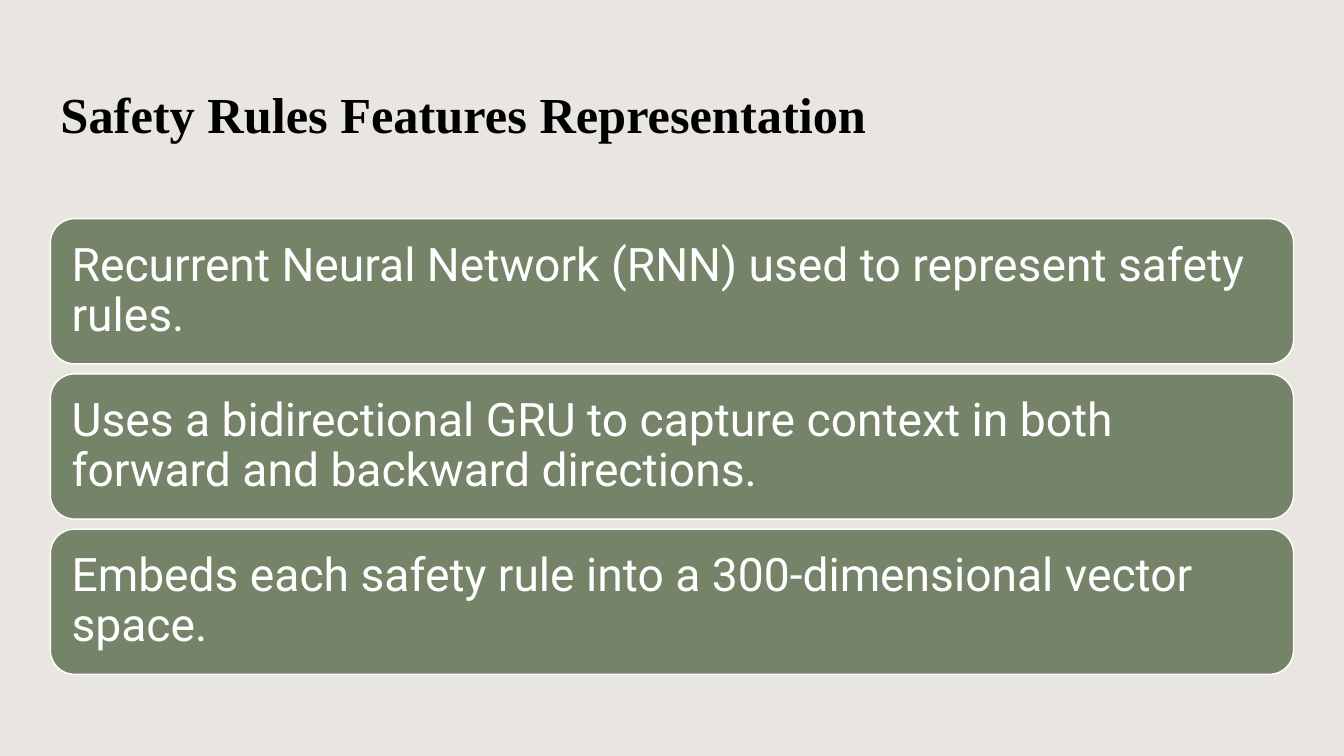
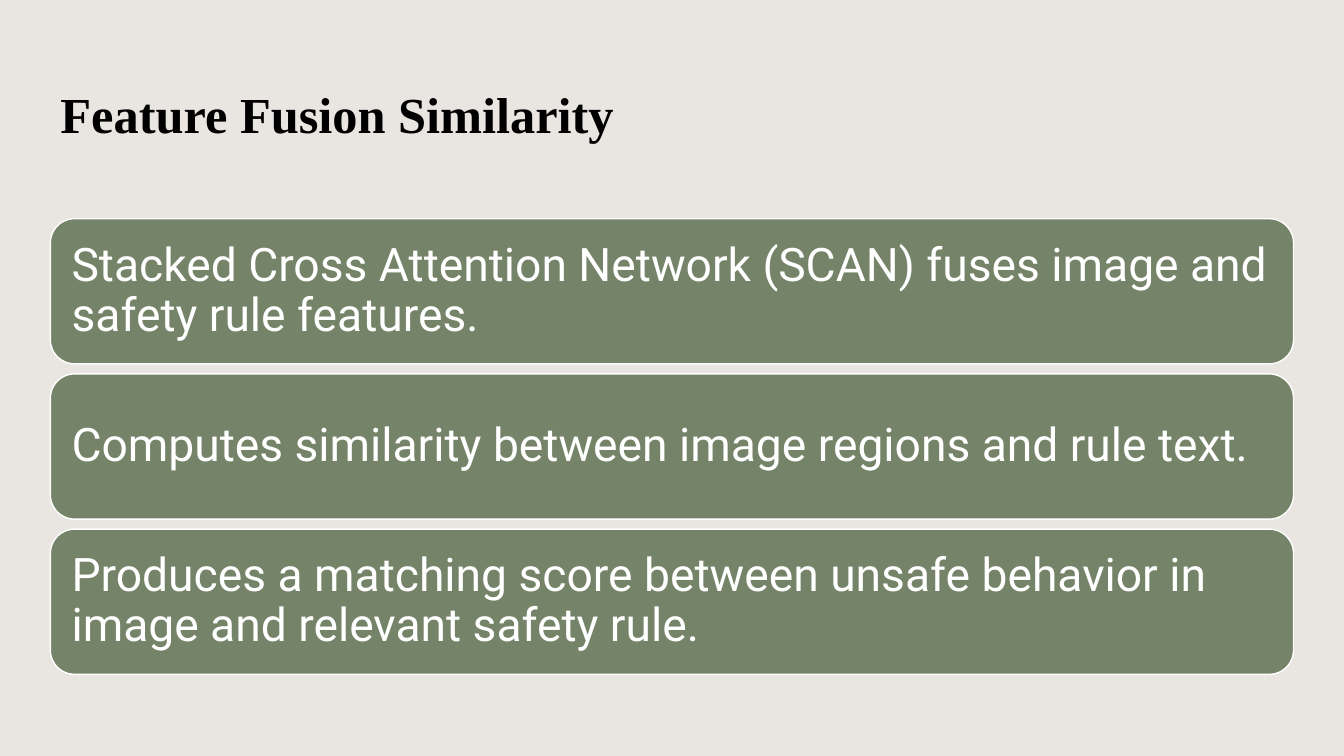
from dataclasses import dataclass

from pptx import Presentation
from pptx.dml.color import RGBColor
from pptx.enum import shapes, text
from pptx.util import Inches, Pt

SLIDES = [
    ("Safety Rules Features Representation", [
        "Recurrent Neural Network (RNN) used to represent safety rules.",
        "Uses a bidirectional GRU to capture context in both forward and backward directions.",
        "Embeds each safety rule into a 300-dimensional vector space.",
    ]),
    ("Feature Fusion Similarity", [
        "Stacked Cross Attention Network (SCAN) fuses image and safety rule features.",
        "Computes similarity between image regions and rule text.",
        "Produces a matching score between unsafe behavior in image and relevant safety rule.",
    ]),
]


@dataclass(frozen=True)
class Theme:
    background: RGBColor = RGBColor.from_string("E9E5E1")
    card: RGBColor = RGBColor.from_string("758468")
    card_text: RGBColor = RGBColor.from_string("FFFFFF")
    title: RGBColor = RGBColor.from_string("000000")
    title_font: str = "Times New Roman"
    card_font: str = "Roboto"
    title_size: Pt = Pt(36)
    card_size: Pt = Pt(33)


THEME = Theme()
MARGIN = Inches(0.5)
CARD_TOP, CARD_WIDTH, CARD_HEIGHT = Inches(2.17), Inches(12.33), Inches(1.44)
CARD_STEP = Inches(1.54)
CARD_INSET = Inches(0.14)


def style_font(font, name, size, color, bold=False):
    font.name, font.size, font.bold = name, size, bold
    font.color.rgb = color


def prepare_layout(deck):
    """Set the shared background and title position."""
    fill = deck.slide_master.background.fill
    fill.solid()
    fill.fore_color.rgb = THEME.background
    layout = deck.slide_layouts.get_by_name("Title Only")
    title = layout.placeholders[0]
    title.left, title.top = MARGIN, Inches(0.4)
    title.width, title.height = Inches(11.92), Inches(1.45)
    return layout


def add_title(slide, wording):
    frame = slide.shapes.title.text_frame
    frame.text = wording
    frame.vertical_anchor = text.MSO_ANCHOR.MIDDLE
    para = frame.paragraphs[0]
    para.alignment = text.PP_ALIGN.LEFT
    style_font(para.font, THEME.title_font, THEME.title_size, THEME.title, bold=True)


def add_card(slide, row, wording):
    card = slide.shapes.add_shape(
        shapes.MSO_SHAPE.ROUNDED_RECTANGLE,
        MARGIN, CARD_TOP + row * CARD_STEP, CARD_WIDTH, CARD_HEIGHT)
    card.shadow.inherit = False
    card.fill.solid()
    card.fill.fore_color.rgb = THEME.card
    card.line.color.rgb = THEME.card_text
    card.line.width = Pt(1)

    frame = card.text_frame
    frame.text = wording
    frame.word_wrap = True
    frame.vertical_anchor = text.MSO_ANCHOR.MIDDLE
    frame.margin_left = frame.margin_right = CARD_INSET
    frame.margin_top = frame.margin_bottom = CARD_INSET
    para = frame.paragraphs[0]
    para.alignment = text.PP_ALIGN.LEFT
    para.line_spacing = 0.9
    style_font(para.font, THEME.card_font, THEME.card_size, THEME.card_text)


def main():
    deck = Presentation()
    deck.slide_width, deck.slide_height = Inches(13.33), Inches(7.5)
    layout = prepare_layout(deck)
    for title, statements in SLIDES:
        slide = deck.slides.add_slide(layout)
        add_title(slide, title)
        for row, statement in enumerate(statements):
            add_card(slide, row, statement)
    deck.save("out.pptx")


if __name__ == "__main__":
    main()
